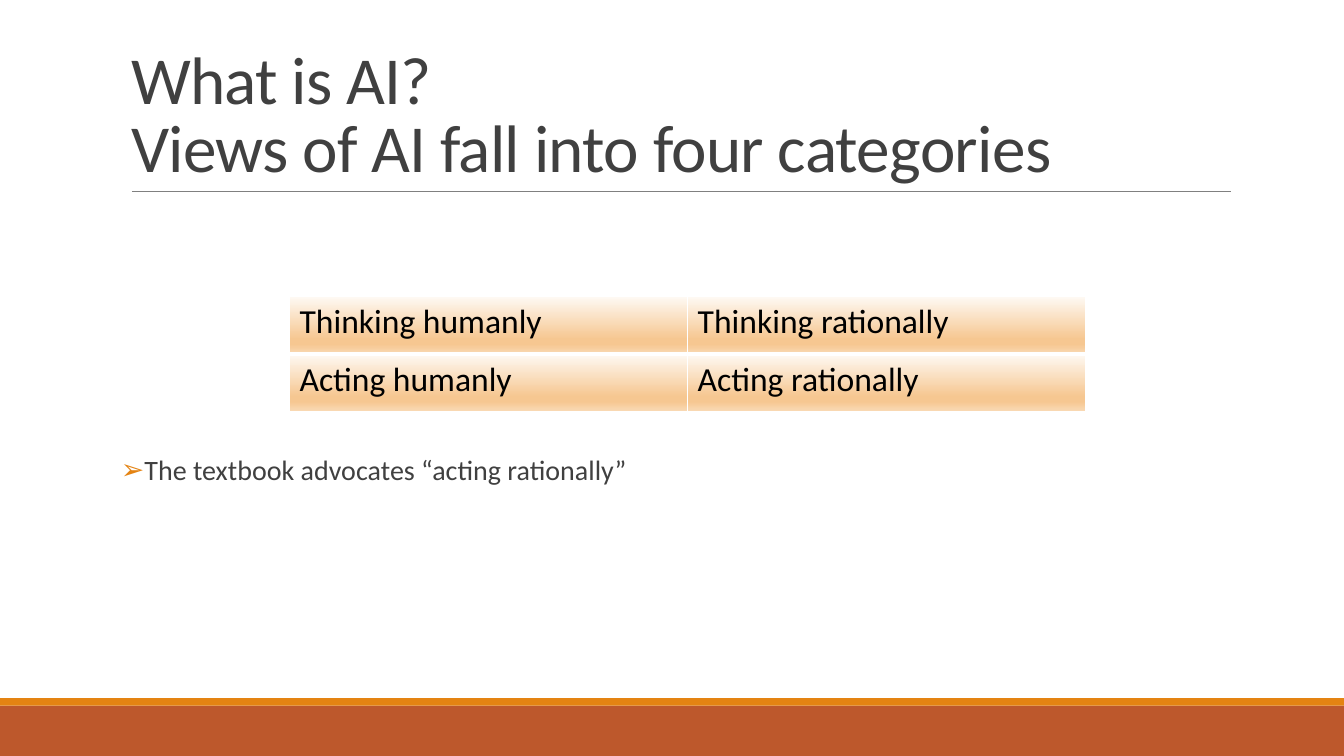
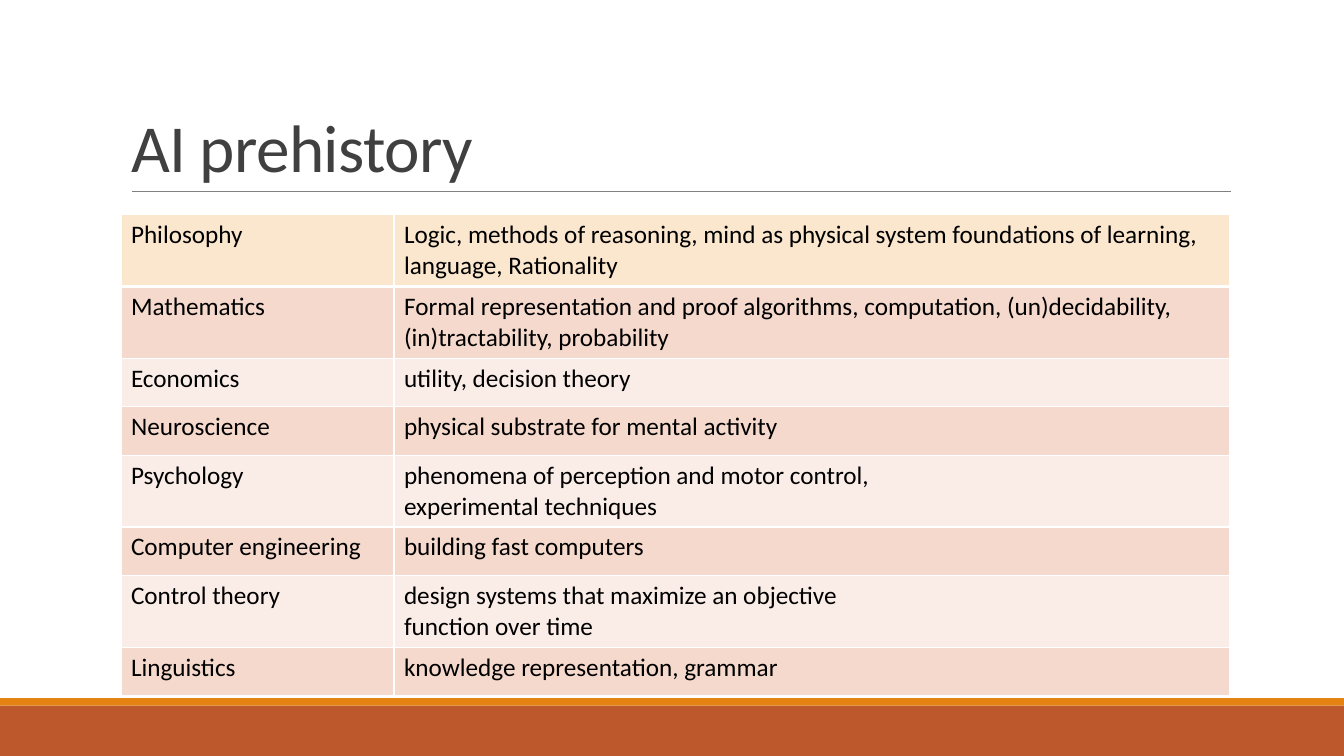
from dataclasses import dataclass

from lxml import etree
from pptx import Presentation
from pptx.dml.color import RGBColor
from pptx.enum import shapes, text
from pptx.oxml import parse_xml
from pptx.oxml.ns import nsdecls, qn
from pptx.util import Pt


@dataclass(frozen=True)
class Theme:
    font: str = "Calibri"
    ink: str = "404040"
    cell_ink: str = "000000"
    accent: str = "E48312"
    footer: str = "BD582C"
    rule: str = "808080"
    border: str = "FFFFFF"
    first_row: str = "FBE6CE"
    bands: tuple = ("FAEDE7", "F5D9CC")
    gradient: tuple = ((0, "FEF9F3"), (74, "F6C791"), (83, "F6C791"), (100, "F9DAB6"))
    title_size: int = 48
    body_size: int = 20
    views_size: int = 24
    history_size: int = 18


theme = Theme()


def format_runs(frame, size, color):
    for paragraph in frame.paragraphs:
        for run in paragraph.runs:
            run.font.name = theme.font
            run.font.size = Pt(size)
            run.font.color.rgb = RGBColor.from_string(color)


def add_grid(slide, left, top, widths, heights, rows, size):
    grid = slide.shapes.add_table(
        len(rows), len(widths), Pt(left), Pt(top), Pt(sum(widths)), Pt(sum(heights))
    ).table
    grid.first_row = grid.horz_banding = False
    for column, width in zip(grid.columns, widths):
        column.width = Pt(width)
    for row, height in zip(grid.rows, heights):
        row.height = Pt(height)
    for r, entries in enumerate(rows):
        for c, entry in enumerate(entries):
            cell = grid.cell(r, c)
            cell.text_frame.text = entry
            format_runs(cell.text_frame, size, theme.cell_ink)
            properties = cell._tc.get_or_add_tcPr()
            for side in "LRTB":
                weight = 3 if r == 0 and side == "B" else 1
                properties.append(parse_xml(
                    f'<a:ln{side} {nsdecls("a")} w="{Pt(weight)}"><a:solidFill>'
                    f'<a:srgbClr val="{theme.border}"/></a:solidFill></a:ln{side}>'
                ))
    return grid


prs = Presentation()
prs.slide_width, prs.slide_height = Pt(960), Pt(540)
master = prs.slide_master

master_title = master.placeholders[0]
master_title.left, master_title.top = Pt(86.4), Pt(22.5)
master_title.width, master_title.height = Pt(792), Pt(114.3)
master_title.text_frame.vertical_anchor = text.MSO_ANCHOR.BOTTOM
master_title.text_frame.auto_size = text.MSO_AUTO_SIZE.NONE

title_style = master.element.find(".//" + qn("p:titleStyle")).find(qn("a:lvl1pPr"))
title_style.set("algn", "l")
title_style.insert(0, parse_xml(
    f'<a:lnSpc {nsdecls("a")}><a:spcPct val="85000"/></a:lnSpc>'
))
title_font = title_style.find(qn("a:defRPr"))
title_font.set("sz", str(theme.title_size * 100))
title_font.set("spc", "-50")
title_font.replace(title_font.find(qn("a:solidFill")), parse_xml(
    f'<a:solidFill {nsdecls("a")}><a:srgbClr val="{theme.ink}"/></a:solidFill>'
))
title_font.find(qn("a:latin")).set("typeface", theme.font)

views = prs.slides.add_slide(prs.slide_layouts[1])
history = prs.slides.add_slide(prs.slide_layouts[5])

decorations = []
for top, height, color in ((504, 36, theme.footer), (498.7, 5.3, theme.accent)):
    band = views.shapes.add_shape(
        shapes.MSO_SHAPE.RECTANGLE, 0, Pt(top), prs.slide_width, Pt(height)
    )
    band.shadow.inherit = False
    band.fill.solid()
    band.fill.fore_color.rgb = RGBColor.from_string(color)
    band.line.fill.background()
    decorations.append(band)

title_rule = views.shapes.add_connector(
    shapes.MSO_CONNECTOR.STRAIGHT, Pt(94.3), Pt(136.8), Pt(879), Pt(136.8)
)
title_rule.line.color.rgb = RGBColor.from_string(theme.rule)
title_rule.line.width = Pt(0.5)
etree.SubElement(title_rule.element.spPr, qn("a:effectLst"))
decorations.append(title_rule)

for number, decoration in enumerate(decorations, 20):
    decoration.element.find(".//" + qn("p:cNvPr")).set("id", str(number))
    master.shapes.element.append(decoration.element)

views.shapes.title.text_frame.text = "What is AI?\vViews of AI fall into four categories"
categories = add_grid(
    views, 206.8, 212, [284.4] * 2, [41] * 2,
    [("Thinking humanly", "Thinking rationally"), ("Acting humanly", "Acting rationally")],
    theme.views_size,
)
stops = "".join(
    f'<a:gs pos="{position * 1000}"><a:srgbClr val="{color}"/></a:gs>'
    for position, color in theme.gradient
)
for cell in categories.iter_cells():
    cell._tc.get_or_add_tcPr().append(parse_xml(
        f'<a:gradFill {nsdecls("a")} rotWithShape="1"><a:gsLst>{stops}</a:gsLst>'
        '<a:lin ang="5400000" scaled="0"/></a:gradFill>'
    ))

advice = views.placeholders[1]
advice.left, advice.top, advice.width, advice.height = Pt(86.4), Pt(322.5), Pt(792), Pt(139.7)
advice_frame = advice.text_frame
advice_frame.text = "The textbook advocates “acting rationally”"
advice_frame.auto_size = text.MSO_AUTO_SIZE.NONE
advice_frame.margin_left = advice_frame.margin_right = 0
format_runs(advice_frame, theme.body_size, theme.ink)
advice_line = advice_frame.paragraphs[0]
advice_line.line_spacing = 0.9
advice_line.space_before, advice_line.space_after = Pt(12), Pt(2)
advice_properties = advice_line._p.get_or_add_pPr()
advice_properties.set("marL", str(Pt(7.2)))
advice_properties.set("indent", str(Pt(-7.2)))
bullet_color = etree.SubElement(advice_properties, qn("a:buClr"))
etree.SubElement(bullet_color, qn("a:srgbClr"), val=theme.accent)
etree.SubElement(advice_properties, qn("a:buChar"), char="➢")

history.shapes.title.text_frame.text = "AI prehistory"
fields = [
    ("Philosophy", "Logic, methods of reasoning, mind as physical system foundations of "
                   "learning, language, Rationality"),
    ("Mathematics", "Formal representation and proof algorithms, computation, "
                    "(un)decidability, (in)tractability, probability"),
    ("Economics", "utility, decision theory"),
    ("Neuroscience", "physical substrate for mental activity"),
    ("Psychology", "phenomena of perception and motor control,\nexperimental techniques"),
    ("Computer engineering", "building fast computers"),
    ("Control theory", "design systems that maximize an objective\nfunction over time"),
    ("Linguistics", "knowledge representation, grammar"),
]
one_line, two_lines = 34.7, 51
field_heights = [two_lines if len(ideas) > 50 else one_line for _, ideas in fields]
disciplines = add_grid(
    history, 86.4, 153.5, [195, 597], field_heights, fields, theme.history_size
)
for r in range(len(fields)):
    row_color = theme.bands[r % 2] if r else theme.first_row
    for c in range(2):
        cell = disciplines.cell(r, c)
        cell.fill.solid()
        cell.fill.fore_color.rgb = RGBColor.from_string(row_color)

prs.save("out.pptx")
